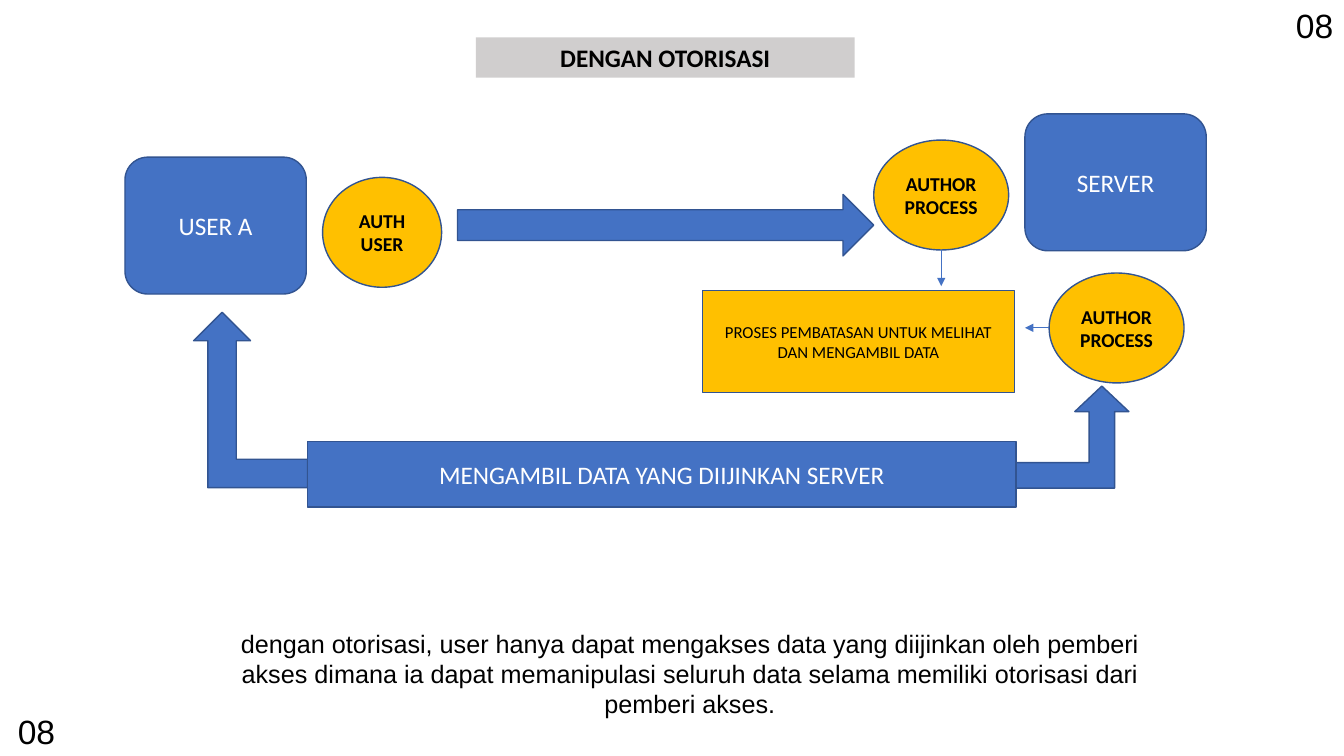
from lxml.etree import SubElement
from pptx import Presentation
from pptx.dml.color import RGBColor
from pptx.enum.shapes import MSO_CONNECTOR, MSO_SHAPE
from pptx.enum.text import MSO_ANCHOR, MSO_AUTO_SIZE, PP_ALIGN
from pptx.oxml.ns import qn
from pptx.util import Cm, Pt

BLUE = RGBColor(0x44, 0x72, 0xC4)
OUTLINE = RGBColor(0x32, 0x54, 0x91)
GOLD = RGBColor(0xFF, 0xC0, 0x00)
GREY = RGBColor(0xD0, 0xCE, 0xCE)
WHITE = RGBColor(0xFF, 0xFF, 0xFF)
BLACK = RGBColor(0x00, 0x00, 0x00)

HOST_SIZE = (4.57, 3.45)
PROCESS_SIZE = (3.4, 2.77)


def write(tf, text, size, color=BLACK, font="Calibri", bold=False,
          align=PP_ALIGN.CENTER):
    tf.word_wrap = True
    p = tf.paragraphs[0]
    p.alignment = align
    r = p.add_run()
    r.text = text
    r.font.name = font
    r.font.size = Pt(size)
    r.font.bold = bold
    r.font.color.rgb = color


def add_title(s, text):
    title = s.shapes.title
    title.left, title.top = Cm(11.99), Cm(0.94)
    title.width, title.height = Cm(9.55), Cm(1.02)
    title.fill.solid()
    title.fill.fore_color.rgb = GREY
    tf = title.text_frame
    tf.auto_size = MSO_AUTO_SIZE.NONE
    tf.vertical_anchor = MSO_ANCHOR.TOP
    write(tf, text, 18, bold=True)


def add_shape(s, kind, x, y, w, h, fill=BLUE):
    sp = s.shapes.add_shape(kind, Cm(x), Cm(y), Cm(w), Cm(h))
    sp.shadow.inherit = False
    sp.fill.solid()
    sp.fill.fore_color.rgb = fill
    sp.line.color.rgb = OUTLINE
    sp.line.width = Pt(1)
    return sp


def add_label(s, kind, x, y, w, h, text, fill=BLUE, size=18, color=WHITE,
              bold=False):
    sp = add_shape(s, kind, x, y, w, h, fill)
    sp.text_frame.vertical_anchor = MSO_ANCHOR.MIDDLE
    write(sp.text_frame, text, size, color, bold=bold)


def add_process(s, x, y, w, h, text):
    """Add a gold ellipse for an authentication or authorisation step."""
    add_label(s, MSO_SHAPE.OVAL, x, y, w, h, text, GOLD, 14, BLACK, True)


def add_text(s, x, y, w, h, text, size, align):
    tb = s.shapes.add_textbox(Cm(x), Cm(y), Cm(w), Cm(h))
    write(tb.text_frame, text, size, font="Arial", align=align)


def add_arrow(s, x1, y1, x2, y2):
    c = s.shapes.add_connector(MSO_CONNECTOR.STRAIGHT,
                               Cm(x1), Cm(y1), Cm(x2), Cm(y2))
    c.line.color.rgb = BLUE
    c.line.width = Pt(0.5)
    SubElement(c.line._get_or_add_ln(), qn("a:tailEnd"), type="triangle")
    SubElement(c.element.spPr, qn("a:effectLst"))


def main():
    prs = Presentation()
    prs.slide_width, prs.slide_height = Cm(33.87), Cm(19.05)
    s = prs.slides.add_slide(prs.slide_layouts[5])

    add_title(s, "DENGAN OTORISASI")

    host = MSO_SHAPE.ROUNDED_RECTANGLE
    add_label(s, host, 3.15, 3.96, *HOST_SIZE, "USER A")
    add_label(s, host, 25.83, 2.87, *HOST_SIZE, "SERVER")

    add_process(s, 8.13, 4.47, 3, 2.77, "AUTH USER")
    add_shape(s, MSO_SHAPE.RIGHT_ARROW, 11.53, 4.9, 10.49, 1.55)

    to_server = add_shape(s, MSO_SHAPE.BENT_UP_ARROW, 25.58, 9.73, 2.87, 2.57)
    to_server.adjustments[1] = 0.265
    to_user = add_shape(s, MSO_SHAPE.BENT_UP_ARROW, 4.88, 7.87, 2.87, 4.42)
    to_user.element.spPr.xfrm.set("flipH", "1")
    add_label(s, MSO_SHAPE.RECTANGLE, 7.75, 11.13, 17.86, 1.65,
              "MENGAMBIL DATA YANG DIIJINKAN SERVER")

    for x, y in ((22.02, 3.53), (26.44, 6.88)):
        add_process(s, x, y, *PROCESS_SIZE, "AUTHOR PROCESS")
    add_label(s, MSO_SHAPE.RECTANGLE, 17.7, 7.32, 7.87, 2.57,
              "PROSES PEMBATASAN UNTUK MELIHAT DAN MENGAMBIL DATA",
              GOLD, 12, BLACK)
    add_arrow(s, 23.72, 6.3, 23.72, 7.21)
    add_arrow(s, 26.44, 8.26, 25.83, 8.26)

    add_text(s, 5.79, 15.7, 23.19, 2.57,
             "dengan otorisasi, user hanya dapat mengakses data yang diijinkan "
             "oleh pemberi akses dimana ia dapat memanipulasi seluruh data "
             "selama memiliki otorisasi dari pemberi akses.",
             18, PP_ALIGN.CENTER)
    for x, y in ((32.41, 0), (0.2, 17.78)):
        add_text(s, x, y, 3.94, 1.27, "08", 24, PP_ALIGN.LEFT)

    prs.save("out.pptx")


if __name__ == "__main__":
    main()
